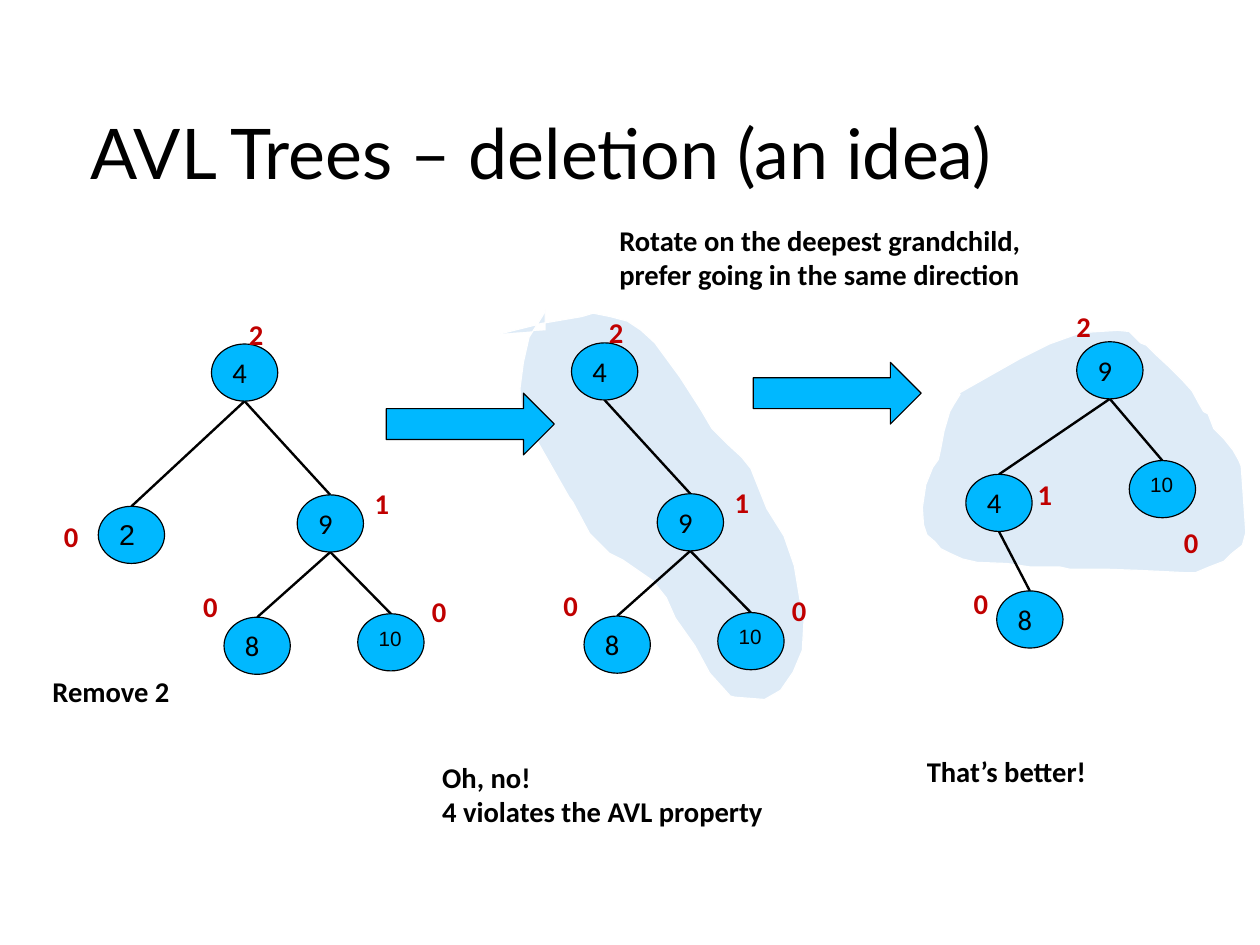
from pptx import Presentation
from pptx.dml.color import RGBColor
from pptx.enum.shapes import MSO_CONNECTOR, MSO_SHAPE
from pptx.enum.text import MSO_ANCHOR, MSO_AUTO_SIZE, PP_ALIGN
from pptx.oxml.xmlchemy import OxmlElement
from pptx.util import Inches, Pt

BLACK, WHITE, RED = "000000", "FFFFFF", "C00000"
BLUE, PALE_BLUE = "00B8FF", "DEEBF7"
CM_PER_INCH = 2.54
NODE_WIDTH, NODE_HEIGHT = 0.58, 0.5

# Each node: label -> (left, top, parent); each balance: (text, left, top)
UNBALANCED_NODES = {
    "4": (1.85, 3.01, None),
    "9": (2.6, 4.33, "4"),
    "8": (1.96, 5.4, "9"),
    "10": (3.13, 5.37, "9"),
}
UNBALANCED_FACTORS = [("2", 2.08, 2.72), ("1", 3.18, 4.2),
                      ("0", 1.68, 5.1), ("0", 3.68, 5.15)]
REMOVED_NODE = {"2": (0.86, 4.43, "4")}
REMOVED_FACTOR = [("0", 0.46, 4.49)]
ROTATED_NODES = {
    "9": (9.42, 2.99, None),
    "4": (8.45, 4.15, "9"),
    "10": (9.88, 4.03, "9"),
    "8": (8.72, 5.17, "4"),
}
ROTATED_FACTORS = [("2", 9.32, 2.65), ("1", 8.98, 4.12),
                   ("0", 8.42, 5.08), ("0", 10.26, 4.54)]

DEEP_PATH_OUTLINE = [
    (4.38, 2.92), (4.74, 2.83), (5.09, 2.77), (5.19, 2.74), (5.34, 2.77),
    (5.49, 2.81), (5.61, 2.89), (5.73, 3), (5.95, 3.3), (6.13, 3.58),
    (6.23, 3.75), (6.36, 3.88), (6.49, 4), (6.57, 4.1), (6.63, 4.25),
    (6.71, 4.45), (6.86, 4.69), (6.95, 4.95), (7, 5.25), (7.04, 5.34),
    (7.02, 5.69), (6.94, 5.88), (6.83, 6.04), (6.69, 6.12), (6.43, 6.1),
    (6.39, 6.09), (6.21, 5.89), (6.08, 5.65), (5.91, 5.41), (5.83, 5.23),
    (5.71, 5.08), (5.45, 4.9), (5.33, 4.84), (5.16, 4.67), (5.01, 4.39),
    (4.98, 4.35), (4.61, 3.7), (4.56, 3.55), (4.55, 3.4), (4.58, 3.17),
    (4.63, 2.95), (4.75, 2.76), (4.77, 2.71), (4.77, 2.89),
]
ROTATION_OUTLINE = [
    (8.39, 3.44), (8.92, 3.14), (9.18, 3.01), (9.46, 2.91), (9.78, 2.89),
    (9.88, 2.9), (9.98, 3), (10.03, 3.02), (10.11, 3.1), (10.24, 3.22),
    (10.34, 3.32), (10.43, 3.42), (10.49, 3.53), (10.53, 3.6), (10.57, 3.62),
    (10.62, 3.75), (10.71, 3.84), (10.79, 3.94), (10.84, 4.03), (10.86, 4.08),
    (10.9, 4.66), (10.87, 4.77), (10.78, 4.84), (10.71, 4.91), (10.58, 4.96),
    (10.46, 5.01), (10.37, 5.01), (10.17, 5), (9.96, 4.99), (9.68, 4.98),
    (9.36, 4.98), (9.27, 4.96), (9.01, 4.96), (8.81, 4.93), (8.55, 4.92),
    (8.42, 4.89), (8.31, 4.84), (8.23, 4.8), (8.18, 4.74), (8.11, 4.68),
    (8.08, 4.59), (8.07, 4.44), (8.1, 4.24), (8.16, 4.09), (8.21, 4.02),
    (8.23, 3.93), (8.26, 3.77), (8.31, 3.6), (8.35, 3.53), (8.4, 3.45),
]


def color(hex_string):
    return RGBColor.from_string(hex_string)


def paint(shape, fill, line):
    shape.shadow.inherit = False
    shape.fill.solid()
    shape.fill.fore_color.rgb = color(fill)
    shape.line.color.rgb = color(line)
    shape.line.width = Pt(0.75)


def write(shape, text, size=18, font="Calibri", hex_color=BLACK, bold=False,
          anchor=MSO_ANCHOR.TOP, spacing=None, wrap=True):
    frame = shape.text_frame
    frame.text = text
    frame.word_wrap = wrap
    frame.vertical_anchor = anchor
    for paragraph in frame.paragraphs:
        paragraph.alignment = PP_ALIGN.LEFT
        paragraph.line_spacing = spacing
        for run in paragraph.runs:
            run.font.size = Pt(size)
            run.font.name = font
            run.font.bold = bold
            run.font.color.rgb = color(hex_color)


def add_text(shapes, text, left, top, width, height, **text_format):
    box = shapes.add_textbox(Inches(left), Inches(top), Inches(width), Inches(height))
    write(box, text, **text_format)
    return box


def add_caption(shapes, text, left, top, width, height=0.38, **text_format):
    box = add_text(shapes, text, left, top, width, height, bold=True, **text_format)
    box.text_frame.auto_size = MSO_AUTO_SIZE.SHAPE_TO_FIT_TEXT


def add_title(shapes, text):
    box = add_text(shapes, text, 0.79, 0.62, 9.25, 1.37, size=44, font="Lato",
                   anchor=MSO_ANCHOR.MIDDLE)
    frame = box.text_frame
    frame.margin_left = frame.margin_right = frame.margin_bottom = 0
    frame.margin_top = Inches(0.04)


def add_highlight(shapes, outline, closed=True):
    start, *others = [(Inches(x), Inches(y)) for x, y in outline]
    builder = shapes.build_freeform(*start)
    builder.add_line_segments(others, close=closed)
    paint(builder.convert_to_shape(), PALE_BLUE, WHITE)


def add_arrow(shapes, left, top):
    arrow = shapes.add_shape(MSO_SHAPE.RIGHT_ARROW, Inches(left), Inches(top),
                             Inches(1.47), Inches(0.54))
    paint(arrow, BLUE, BLACK)


def add_edge(shapes, parent, child):
    """Join the bottom of the parent node to the top of the child node."""
    edge = shapes.add_connector(
        MSO_CONNECTOR.STRAIGHT,
        Inches(parent[0] + NODE_WIDTH / 2), Inches(parent[1] + NODE_HEIGHT),
        Inches(child[0] + NODE_WIDTH / 2), Inches(child[1]))
    edge.line.color.rgb = color(BLACK)
    edge.line.width = Pt(1.5)
    edge.element.spPr.append(OxmlElement("a:effectLst"))


def add_node(shapes, label, left, top):
    node = shapes.add_shape(MSO_SHAPE.OVAL, Inches(left), Inches(top),
                            Inches(NODE_WIDTH), Inches(NODE_HEIGHT))
    paint(node, BLUE, BLACK)
    write(node, label, size=13 if label == "10" else 18,
          font="Arial" if label in ("2", "10") else "Calibri", spacing=0.93)


def add_tree(slide, nodes, factors, shift_x=0, shift_y=0):
    """Group the edges, nodes and red balance factors of one tree."""
    shapes = slide.shapes.add_group_shape().shapes
    places = {label: (left + shift_x, top + shift_y)
              for label, (left, top, _) in nodes.items()}
    for label, (_, _, parent) in nodes.items():
        if parent:
            add_edge(shapes, places[parent], places[label])
    for label, place in places.items():
        add_node(shapes, label, *place)
    for text, left, top in factors:
        add_caption(shapes, text, left + shift_x, top + shift_y, 0.34,
                    hex_color=RED, wrap=False)


def main():
    presentation = Presentation()
    presentation.slide_width = Inches(28 / CM_PER_INCH)
    presentation.slide_height = Inches(21 / CM_PER_INCH)
    slide = presentation.slides.add_slide(presentation.slide_layouts[6])
    shapes = slide.shapes

    add_highlight(shapes, ROTATION_OUTLINE)
    add_highlight(shapes, DEEP_PATH_OUTLINE, closed=False)
    add_title(shapes, "AVL Trees – deletion (an idea)")

    add_tree(slide, UNBALANCED_NODES | REMOVED_NODE,
             UNBALANCED_FACTORS + REMOVED_FACTOR)
    add_tree(slide, UNBALANCED_NODES, UNBALANCED_FACTORS, shift_x=3.15, shift_y=-0.01)
    add_tree(slide, ROTATED_NODES, ROTATED_FACTORS)
    add_arrow(shapes, 3.38, 3.44)
    add_arrow(shapes, 6.59, 3.17)

    add_caption(shapes, "Remove 2", 0.36, 5.85, 1.72)
    add_caption(shapes, "Oh, no!\n4 violates the AVL property", 3.77, 6.6, 3.41, 0.66)
    add_caption(shapes, "That’s better!", 8.01, 6.55, 3.41)
    add_caption(shapes, "Rotate on the deepest grandchild,\v"
                "prefer going in the same direction", 5.32, 1.9, 4.66, 0.66)

    presentation.save("out.pptx")


if __name__ == "__main__":
    main()
